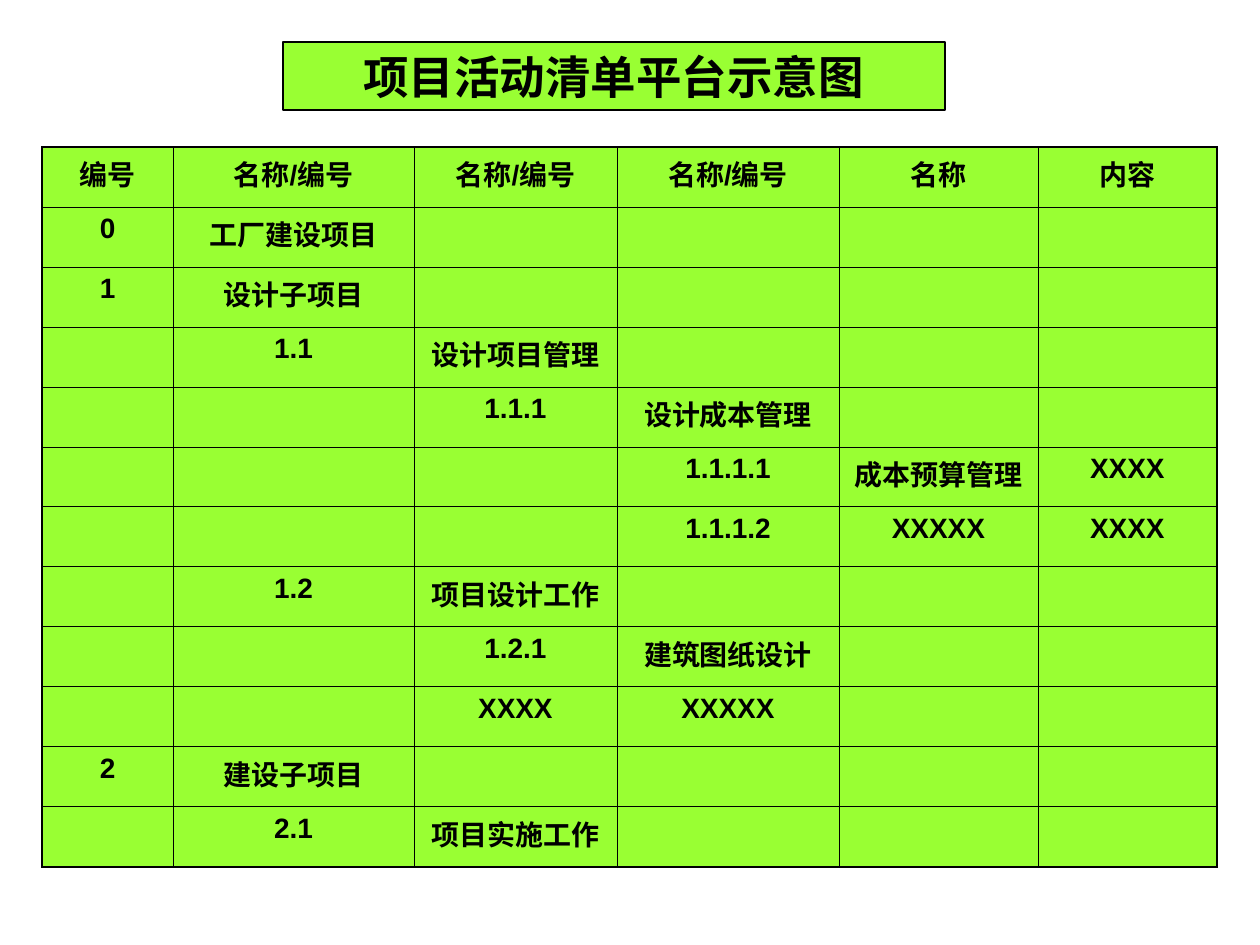
from dataclasses import dataclass

from lxml import etree
from pptx import Presentation, util as u
from pptx.dml.color import RGBColor
from pptx.enum import shapes, text
from pptx.oxml.ns import qn

EMU_PER_PX = 914400 // 126


@dataclass(frozen=True)
class Theme:
    fill: str = "99FF33"
    ink: str = "000000"
    title_font: str = "Times New Roman"
    table_font: str = "Arial"
    title_size: int = 26
    table_size: int = 16
    title_line: float = 0.75
    outer_line: float = 1.08
    inner_line: float = 0.45


HEADER = ["编号", "名称/编号", "名称/编号", "名称/编号", "名称", "内容"]
# Each activity: index of its first filled column, then the texts from there on.
ACTIVITIES = [
    (0, "0", "工厂建设项目"),
    (0, "1", "设计子项目"),
    (1, "1.1", "设计项目管理"),
    (2, "1.1.1", "设计成本管理"),
    (3, "1.1.1.1", "成本预算管理", "XXXX"),
    (3, "1.1.1.2", "XXXXX", "XXXX"),
    (1, "1.2", "项目设计工作"),
    (2, "1.2.1", "建筑图纸设计"),
    (2, "XXXX", "XXXXX"),
    (0, "2", "建设子项目"),
    (1, "2.1", "项目实施工作"),
]
COLUMN_WIDTHS = [131, 241, 203, 222, 199, 179]
ROW_HEIGHT = 60


def px(*lengths):
    return [u.Emu(length * EMU_PER_PX) for length in lengths]


class SlideBuilder:
    def __init__(self, slide, theme):
        self.slide = slide
        self.theme = theme

    def paint(self, fill):
        fill.solid()
        fill.fore_color.rgb = RGBColor.from_string(self.theme.fill)

    def centred_text(self, frame, words, font_name, size):
        paragraph = frame.paragraphs[0]
        paragraph.alignment = text.PP_ALIGN.CENTER
        run = paragraph.add_run()
        run.text = words
        style = {"name": font_name, "size": u.Pt(size), "bold": True}
        for name, value in style.items():
            setattr(run.font, name, value)
        run.font.color.rgb = RGBColor.from_string(self.theme.ink)

    def title(self, words, left, top, width, height):
        shape = self.slide.shapes.add_shape(
            shapes.MSO_SHAPE.RECTANGLE, *px(left, top, width, height))
        shape.shadow.inherit = False
        self.paint(shape.fill)
        shape.line.color.rgb = RGBColor.from_string(self.theme.ink)
        shape.line.width = u.Pt(self.theme.title_line)
        frame = shape.text_frame
        frame.word_wrap = True
        frame.vertical_anchor = text.MSO_ANCHOR.MIDDLE
        self.centred_text(frame, words, self.theme.title_font, self.theme.title_size)

    def border(self, cell, outer_sides):
        """Draw all four sides of a cell, heavier where it meets the table edge."""
        properties = cell._tc.get_or_add_tcPr()
        for side, is_outer in outer_sides.items():
            points = self.theme.outer_line if is_outer else self.theme.inner_line
            line = etree.SubElement(properties, qn(f"a:ln{side}"), w=str(u.Pt(points)))
            solid = etree.SubElement(line, qn("a:solidFill"))
            etree.SubElement(solid, qn("a:srgbClr"), val=self.theme.ink)

    def table(self, rows, left, top, column_widths, row_height):
        last_row, last_column = len(rows) - 1, len(column_widths) - 1
        table = self.slide.shapes.add_table(
            len(rows), len(column_widths),
            *px(left, top, sum(column_widths), row_height * len(rows))).table
        for column, width in zip(table.columns, px(*column_widths)):
            column.width = width
        for r, words_in_row in enumerate(rows):
            table.rows[r].height = px(row_height)[0]
            for c, words in enumerate(words_in_row):
                cell = table.cell(r, c)
                self.border(cell, {"L": c == 0, "R": c == last_column,
                                   "T": r == 0, "B": r == last_row})
                self.paint(cell.fill)
                if words:
                    self.centred_text(cell.text_frame, words,
                                      self.theme.table_font, self.theme.table_size)


def activity_row(first_column, *words):
    """Pad an activity with empty cells to the full table width."""
    blanks_after = len(HEADER) - first_column - len(words)
    return [""] * first_column + list(words) + [""] * blanks_after


def main():
    presentation = Presentation()
    presentation.slide_width, presentation.slide_height = u.Inches(10), u.Inches(7.5)
    slide = presentation.slides.add_slide(presentation.slide_layouts[6])
    builder = SlideBuilder(slide, Theme())
    rows = [HEADER] + [activity_row(*activity) for activity in ACTIVITIES]
    builder.table(rows, 42, 147, COLUMN_WIDTHS, ROW_HEIGHT)
    builder.title("项目活动清单平台示意图", 283, 42, 662, 68)
    presentation.save("out.pptx")


if __name__ == "__main__":
    main()
